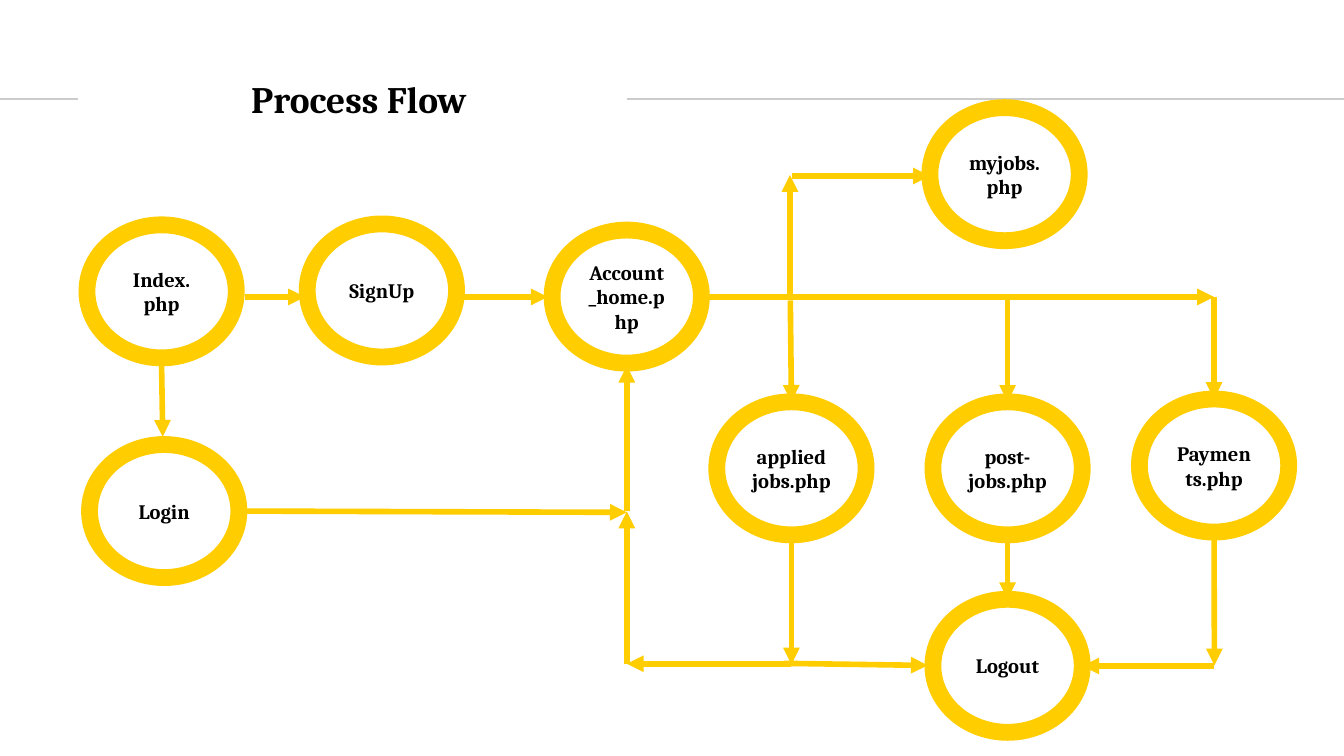
import pptx
import pptx.dml.color
import pptx.enum.shapes
import pptx.enum.text
import pptx.oxml
import pptx.oxml.ns
import pptx.util

Pt = pptx.util.Pt
FONT = "Cambria"
COLORS = {"text": "000000", "flow": "FFCD00", "rule": "CCCCCC"}
NODE_WIDTH, NODE_HEIGHT = 80, 71.3
INSET = 7.2

# Lanes shared by several arrows
MAIN_Y = 159.1
LOGIN_Y = 274
RETURN_Y = 356
HOME_X = 335.8
APPLIED_X = 424
POST_X = 539.8
PAY_X = 650.4
RULE_Y = 53.1

# Label and centre of each step
NODES = [
    ("Index.\nphp", 86.6, 156.1),
    ("SignUp", 204.6, 155.6),
    ("Account_home.php", HOME_X, 158.9),
    ("Login", 88, 273.8),
    ("myjobs.php", 538.2, 93.3),
    ("applied\njobs.php", APPLIED_X, 250.9),
    ("post-jobs.php", POST_X, 250.9),
    ("Payments.php", PAY_X, 249.4),
    ("Logout", POST_X, 356.7),
]

# Start x, start y, end x, end y
ARROWS = [
    (131.2, MAIN_Y, 163.4, MAIN_Y),  # Index to SignUp
    (247.2, MAIN_Y, 293.4, MAIN_Y),  # SignUp to account home
    (86.5, 192, 87.2, 234),  # Index to Login
    (131.2, 273.8, HOME_X, 274.5),  # Login to the return lane
    (HOME_X, LOGIN_Y, HOME_X, 196),  # return lane to account home
    (376, MAIN_Y, PAY_X, MAIN_Y),  # account home to the branches
    (423.2, 158, 423.2, 93.8),  # up to myjobs
    (424.5, 94.3, 498.2, 94.3),
    (423.4, 161, APPLIED_X, 215.3),  # down to applied jobs
    (POST_X, MAIN_Y, POST_X, 215.3),  # down to post-jobs
    (PAY_X, MAIN_Y, PAY_X, 213.8),  # down to Payments
    (APPLIED_X, 286.6, APPLIED_X, RETURN_Y),  # pages to Logout
    (420, 355.4, 497, 356.5),
    (POST_X, 286.6, POST_X, 321),
    (PAY_X, 285, 650.6, 356.5),
    (PAY_X, 356.8, 579.8, 356.8),
    (423.5, 355.6, HOME_X, 355.6),  # back to account home
    (HOME_X, 355.6, HOME_X, LOGIN_Y),
]


def rgb(name):
    return pptx.dml.color.RGBColor.from_string(COLORS[name])


def style_text(frame, size, alignment):
    frame.word_wrap = True
    frame.vertical_anchor = pptx.enum.text.MSO_ANCHOR.MIDDLE
    frame.margin_left = frame.margin_right = Pt(INSET)
    frame.margin_top = frame.margin_bottom = Pt(INSET)
    for paragraph in frame.paragraphs:
        paragraph.alignment = alignment
        for span in paragraph.runs:
            span.font.name = FONT
            span.font.size = Pt(size)
            span.font.bold = True
            span.font.color.rgb = rgb("text")


def add_title(page, text):
    title = page.shapes.title
    title.left, title.top = Pt(127.4), Pt(35.3)
    title.width, title.height = Pt(324.7), Pt(34.6)
    title.text_frame.text = text
    style_text(title.text_frame, 20, pptx.enum.text.PP_ALIGN.LEFT)


def add_node(page, label, center_x, center_y):
    node = page.shapes.add_shape(
        pptx.enum.shapes.MSO_SHAPE.OVAL,
        Pt(center_x - NODE_WIDTH / 2), Pt(center_y - NODE_HEIGHT / 2),
        Pt(NODE_WIDTH), Pt(NODE_HEIGHT))
    node.shadow.inherit = False
    node.fill.background()
    node.line.color.rgb = rgb("flow")
    node.line.width = Pt(9)
    node.text_frame.text = label
    style_text(node.text_frame, 11, pptx.enum.text.PP_ALIGN.CENTER)


def add_line(page, ends, color, width):
    line = page.shapes.add_connector(
        pptx.enum.shapes.MSO_CONNECTOR.STRAIGHT, *(Pt(value) for value in ends))
    line.line.color.rgb = rgb(color)
    line.line.width = Pt(width)
    properties = line.element.spPr
    properties.append(pptx.oxml.parse_xml(
        f'<a:effectLst {pptx.oxml.ns.nsdecls("a")}/>'))
    return line


def add_arrow(page, ends):
    arrow = add_line(page, ends, "flow", 3)
    arrow.line._get_or_add_ln().append(pptx.oxml.parse_xml(
        f'<a:tailEnd {pptx.oxml.ns.nsdecls("a")} type="triangle"/>'))


def main():
    deck = pptx.Presentation()
    deck.slide_width, deck.slide_height = Pt(720), Pt(405)
    page = deck.slides.add_slide(deck.slide_layouts.get_by_name("Title Only"))

    for start, end in [(0, 41.8), (335.8, 720)]:
        add_line(page, (start, RULE_Y, end, RULE_Y), "rule", 0.75)
    add_title(page, "Process Flow")
    for label, center_x, center_y in NODES:
        add_node(page, label, center_x, center_y)
    for ends in ARROWS:
        add_arrow(page, ends)

    deck.save("out.pptx")


if __name__ == "__main__":
    main()
